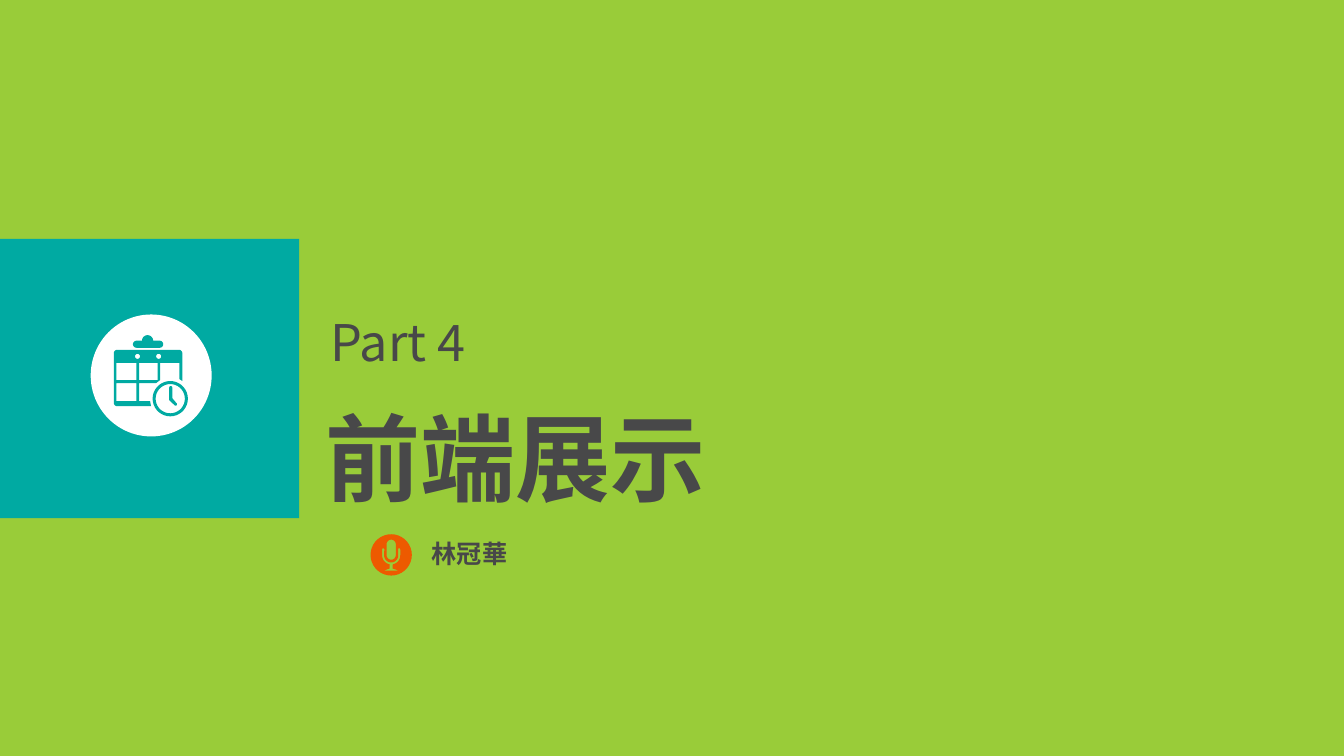
import math
from lxml import etree
from pptx import Presentation, util as u
from pptx.dml.color import RGBColor
from pptx.enum import shapes, text
from pptx.oxml import ns

rgb = RGBColor.from_string
TEAL, WHITE, ORANGE, GREY, GREEN = "00AAA2", "FFFFFF", "ED5A00", "484849", "99CC39"
FONT = "Noto Sans CJK SC"
KIND = shapes.MSO_SHAPE
ALIGN, ANCHOR = text.PP_ALIGN, text.MSO_ANCHOR

prs = Presentation()
prs.slide_width, prs.slide_height = u.Inches(13.34), u.Inches(7.5)
W, H = prs.slide_width, prs.slide_height
CELL = W / 1334  # fine grid for the icons


def box(x, y, w, h):
    """Turn percentages of the slide into lengths."""
    return [int(share * side / 100) for share, side in zip((x, y, w, h), (W, H, W, H))]


def arc(cx, cy, r, start=0, end=360):
    """Points along an arc, clockwise from the right, in grid cells."""
    steps = max(4, abs(end - start) // 10)
    angles = [math.radians(start + (end - start) * i / steps) for i in range(steps + 1)]
    return [(cx + r * math.cos(a), cy + r * math.sin(a)) for a in angles]


s = prs.slides.add_slide(prs.slide_layouts[6])
s.background.fill.solid()
s.background.fill.fore_color.rgb = rgb(GREEN)

# Teal square and white disc
for kind, place, color in (
    (KIND.RECTANGLE, (0, 31.6, 22.26, 36.93), TEAL),
    (KIND.OVAL, (6.75, 41.6, 9, 16.13), WHITE),
):
    sp = s.shapes.add_shape(kind, *box(*place))
    sp.shadow.inherit = False
    sp.fill.solid()
    sp.fill.fore_color.rgb = rgb(color)
    sp.line.fill.background()

# Calendar with clock: outlines, then holes
clip = (arc(135.5, 341.5, 3.5, 90, 270) + arc(146.5, 338, 5.5, 180, 360)
        + arc(158.5, 341.5, 3.5, -90, 90))
page = ([(150, 403), (149, 398), (138, 398), (138, 380), (155, 380), (159, 377),
         (159, 360), (178, 360), (178, 376), (181, 378)]
        + arc(177.5, 350.5, 3.5, 0, -90) + arc(116.5, 350.5, 3.5, 270, 180)
        + arc(116.5, 399.5, 3.5, 180, 90))
panes = [[(l, t), (r, t), (r, b), (l, b)] for l, t, r, b in (
    (115.5, 360, 135.5, 377), (115.5, 380, 135.5, 398), (138, 360, 156.5, 377))]
dots = [arc(cx, 353.5, 2.5) for cx in (136.5, 157.5)]
clock = [arc(169, 395.5, r) for r in (17.5, 14.5)]
hands = (arc(169.5, 384.5, 1.5, 180, 360) + [(171, 395)]
         + arc(174.3, 401, 1.4, -45, 135) + [(168, 397)])
calendar = [clip, page, *panes, *dots, *clock, hands]

# Microphone in a disc
disc = arc(388.3, 550.5, 20.5)
capsule = arc(388.3, 540, 4.6, 180, 360) + arc(388.3, 550.7, 4.6, 0, 180)
stand = (arc(396.2, 545, 1.1, 360, 180) + arc(388.3, 551, 7, 0, 180)
         + arc(380.4, 545, 1.1, 360, 180) + arc(388.3, 551, 9, 180, 100)
         + [(386.8, 564), (381, 566), (395.5, 566), (389.8, 564)]
         + arc(388.3, 551, 9, 80, 0))
microphone = [disc, capsule, stand]

for outlines, color in ((calendar, TEAL), (microphone, ORANGE)):
    outlines = [[(x * CELL, y * CELL) for x, y in outline] for outline in outlines]
    builder = s.shapes.build_freeform(*outlines[0][0])
    for i, outline in enumerate(outlines):
        if i:
            builder.move_to(*outline[0])
        builder.add_line_segments(outline[1:], close=True)
    sp = builder.convert_to_shape()
    sp.shadow.inherit = False
    sp.fill.solid()
    sp.fill.fore_color.rgb = rgb(color)
    sp.line.fill.background()

# Part number, title and speaker
for words, place, size, bold, align, anchor in (
    ("前端展示", (23.46, 52.13, 54.87, 16.67), 68, True, ALIGN.LEFT, ANCHOR.TOP),
    ("Part 4", (23.84, 40.53, 13.12, 9.47), 36, False, ALIGN.LEFT, ANCHOR.TOP),
    ("林冠華", (29.91, 70.53, 10.05, 5.33), 18, True, ALIGN.CENTER, ANCHOR.MIDDLE),
):
    tf = s.shapes.add_textbox(*box(*place)).text_frame
    tf.word_wrap = True
    tf.auto_size = text.MSO_AUTO_SIZE.SHAPE_TO_FIT_TEXT
    tf.vertical_anchor = anchor
    p = tf.paragraphs[0]
    p.text, p.alignment = words, align
    font = p.font
    font.size, font.bold, font.name = u.Pt(size), bold, FONT
    font.color.rgb = rgb(GREY)
    # East Asian typeface
    props = p._p.pPr.find(ns.qn("a:defRPr"))
    etree.SubElement(props, ns.qn("a:ea")).set("typeface", FONT)

prs.save("out.pptx")
